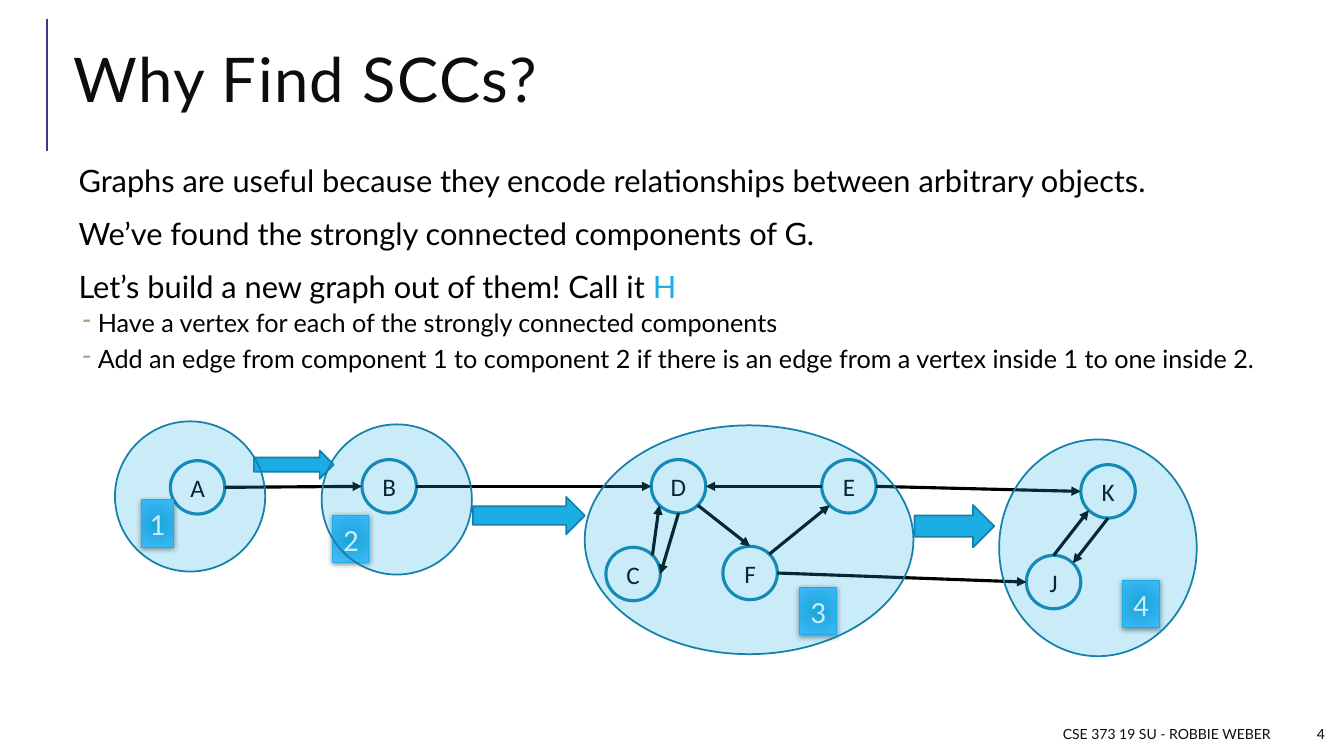
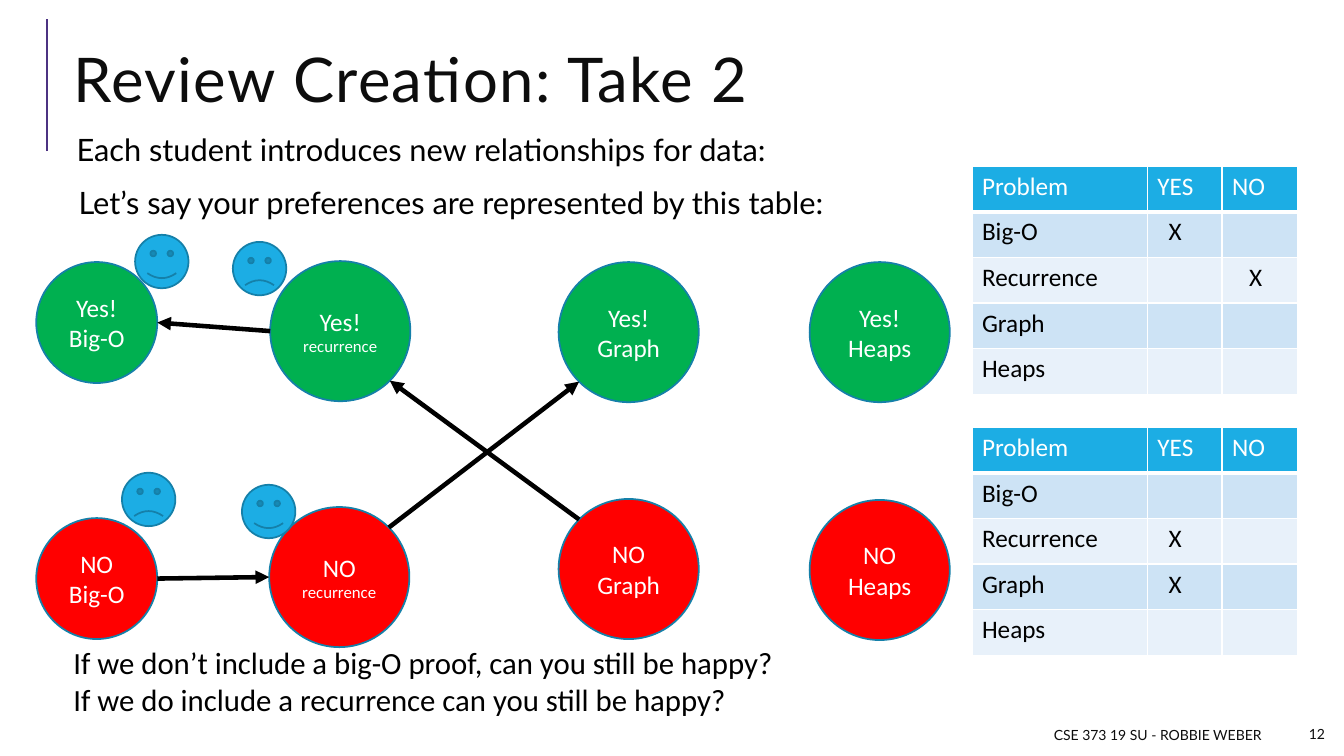
import math
from lxml import etree
from pptx import Presentation
from pptx import util as u
from pptx.dml.color import RGBColor
from pptx.enum import shapes, text
from pptx.oxml.ns import qn

PX = 9144
KIND = shapes.MSO_SHAPE
SIDE = text.PP_ALIGN
MID = text.MSO_ANCHOR.MIDDLE
INK = {
    "black": "000000", "title": "0D0D0D", "white": "FFFFFF", "bar": "4C3282",
    "blue": "1CADE4", "edge": "1580A9", "tan": "B6A479", "dark": "1AA1D4",
    "light": "48BFFF", "green": "00B050", "red": "FF0000",
    "odd": "CDE3F5", "even": "E8F1FA",
}


def px(*nums):
    return [u.Emu(round(n * PX)) for n in nums]


def rgb(name):
    return RGBColor.from_string(INK[name])


def node(base, tag, **attrs):
    item = etree.SubElement(base, qn(tag))
    for key, val in attrs.items():
        item.set(key, str(val))
    return item


def tint(base, name):
    return node(base, "a:srgbClr", val=INK[name])


def within(box, part):
    return (box[0] + part[0], box[1] + part[1], *part[2:])


def write(frame, words, size=18, face="Calibri", ink="black", join=False,
          align=None, lead=None, before=0, after=0, left=0, hang=0,
          mark=None, track=0):
    para = frame.paragraphs[-1]
    if para.runs and not join:
        para = frame.add_paragraph()
        para.space_before = u.Pt(before)
    if not join:
        para.alignment = align
        para.line_spacing = lead
        para.space_after = u.Pt(after)
        props = para._p.get_or_add_pPr()
        if left:
            props.set("marL", str(left * PX))
            props.set("indent", str(-hang * PX))
        if mark:
            tint(node(props, "a:buClr"), "tan")
            node(props, "a:buChar", char=mark)
    run = para.add_run()
    run.text = words
    font = run.font
    font.size, font.name, font.bold = u.Pt(size), face, False
    font.color.rgb = rgb(ink)
    if track:
        run._r.get_or_add_rPr().set("spc", str(track))


def pad(frame, side, top):
    frame.margin_left = frame.margin_right = side * PX
    frame.margin_top = frame.margin_bottom = top * PX


def area(slide, box, anchor=None, inset=10):
    frame = slide.shapes.add_textbox(*px(*box)).text_frame
    frame.word_wrap = True
    frame.vertical_anchor = anchor
    pad(frame, inset, 5)
    return frame


def place(slide, kind, box, fill="blue", line="edge", width=1.25, alpha=None):
    shape = slide.shapes.add_shape(kind, *px(*box))
    shape.shadow.inherit = False
    shape.fill.solid()
    shape.fill.fore_color.rgb = rgb(fill)
    if alpha:
        color = shape._element.spPr.find(".//" + qn("a:srgbClr"))
        node(color, "a:alpha", val=alpha * 1000)
    shape.line.color.rgb = rgb(line)
    shape.line.width = u.Pt(width)
    return shape


def label(shape, *lines, ink="black"):
    frame = shape.text_frame
    frame.word_wrap = False
    frame.vertical_anchor = MID
    pad(frame, 0, 0)
    for words, size in lines:
        write(frame, words, size=size, ink=ink, align=SIDE.CENTER)


def stroke(slide, start, end, ink="black", width=2.25, head=True):
    line = slide.shapes.add_connector(
        shapes.MSO_CONNECTOR.STRAIGHT, *px(*start, *end))
    line.line.color.rgb = rgb(ink)
    line.line.width = u.Pt(width)
    props = line._element.spPr
    if head:
        node(props.find(qn("a:ln")), "a:tailEnd", type="triangle")
    node(props, "a:effectLst")


def site(box, index):
    x, y, w, h = box
    turn = math.radians(90 + 45 * index)
    return (x + w / 2 + w / 2 * math.cos(turn),
            y + h / 2 - h / 2 * math.sin(turn))


def link(slide, spots, edges, width):
    for start, out, end, into in edges:
        stroke(slide, site(spots[start], out), site(spots[end], into),
               width=width)


def base(deck, title, page, foot):
    slide = deck.slides.add_slide(deck.slide_layouts[6])
    stroke(slide, (47, 150), (47, 19), ink="bar", width=1.5, head=False)
    write(area(slide, (63, 29, 1223, 111), MID), title, size=44, face="Lato",
          ink="title", lead=0.8, track=100)
    for box, words in ((foot, "CSE 373 19 SU - ROBBIE WEBER"),
                       ((1278, 713, 46, 30), page)):
        write(area(slide, box, MID), words, size=10, face="Lato",
              ink="title", align=SIDE.RIGHT)
    return slide


def body(slide, box, lines):
    frame = area(slide, box, inset=5)
    for words, left in lines:
        write(frame, words, size=22, face="Lato", lead=0.9, before=12,
              after=2, left=left)
    return frame


def tag(slide, box, words):
    shape = place(slide, KIND.RECTANGLE, box, line="blue", width=0.75)
    shape.fill.gradient()
    for stop, name in zip(shape.fill.gradient_stops, ("dark", "light")):
        stop.color.rgb = rgb(name)
    props = shape._element.spPr
    grad = props.find(qn("a:gradFill"))
    grad.remove(grad.find(qn("a:lin")))
    node(node(grad, "a:path", path="circle"), "a:fillToRect",
         l=100000, t=100000, r=100000, b=100000)
    glow = node(props.find(qn("a:effectLst")), "a:outerShdw", blurRad=50800,
                dist=12700, dir=5400000, rotWithShape=0)
    node(tint(glow, "black"), "a:alpha", val=50000)
    label(shape, (words, 22), ink="white")


def graph(slide, box):
    spots = {"A": (55, 39), "B": (245, 38), "C": (487, 125), "D": (532, 38),
             "E": (701, 38), "F": (603, 124), "J": (904, 133), "K": (958, 43)}
    spots = {name: within(box, (*spot, 54, 53))
             for name, spot in spots.items()}
    for name, spot in spots.items():
        label(place(slide, KIND.OVAL, spot, fill="white", width=2.25),
              (name, 18))
    link(slide, spots, (
        ("A", 6, "B", 2), ("B", 6, "D", 2), ("C", 7, "D", 3),
        ("D", 4, "C", 6), ("D", 5, "F", 0), ("F", 7, "E", 3),
        ("E", 2, "D", 6), ("E", 6, "K", 2), ("F", 6, "J", 2),
        ("K", 4, "J", 7), ("J", 0, "K", 3)), 2.25)
    for part in ((138, 29, 79, 28), (355, 75, 111, 37), (793, 83, 79, 42)):
        place(slide, KIND.RIGHT_ARROW, within(box, part))
    tags = ((26, 78, 32, 47), (216, 93, 36, 47),
            (679, 165, 37, 47), (999, 158, 37, 47))
    for count, part in enumerate(tags, 1):
        tag(slide, within(box, part), str(count))
    for part in ((0, 0, 149, 149), (205, 3, 149, 149),
                 (466, 4, 326, 227), (877, 18, 196, 215)):
        place(slide, KIND.OVAL, within(box, part), alpha=23)


def votes(slide, box):
    topics = (("Big-O", 18, 120), ("recurrence", 12, 139),
              ("Graph", 18, 139), ("Heaps", 18, 139))
    rows = (("Yes!", "green", ((0, 27), (232, 26), (518, 27), (767, 27))),
            ("NO", "red", ((0, 281), (231, 270), (518, 262), (767, 263))))
    spots = {}
    for vote, fill, points in rows:
        for (topic, size, wide), point in zip(topics, points):
            spot = within(box, (*point, wide, wide))
            spots[vote, topic] = spot
            label(place(slide, KIND.OVAL, spot, fill=fill),
                  (vote, 18), (topic, size), ink="white")
    first, second, third = (topic[0] for topic in topics[:3])
    link(slide, spots, (
        (("NO", first), 6, ("NO", second), 2),
        (("Yes!", second), 2, ("Yes!", first), 6),
        (("NO", third), 1, ("Yes!", second), 5),
        (("NO", second), 7, ("Yes!", third), 3)), 3.25)
    for x, y, sad in ((204, 248, False), (85, 236, True),
                      (195, 7, True), (98, 0, False)):
        face = place(slide, KIND.SMILEY_FACE, within(box, (x, y, 53, 53)))
        if sad:
            face.adjustments[0] = -0.05


def rule(cell, head):
    props = cell._tc.get_or_add_tcPr()
    for side in "LRTB":
        width = 3 if head and side == "B" else 1
        line = node(props, "a:ln" + side, w=width * 12700)
        tint(node(line, "a:solidFill"), "white")


def grid(slide, box, marks):
    names = ("Problem", "Big-O", "Recurrence", "Graph", "Heaps")
    table = slide.shapes.add_table(len(names), 3, *px(*box)).table
    table.horz_banding = False
    for col, wide in zip(table.columns, (174, 74, 75)):
        col.width = u.Emu(wide * PX)
    for r, name in enumerate(names):
        cells = (name, "YES", "NO") if r == 0 else (
            name, *("X" if (r, c) in marks else "" for c in (1, 2)))
        for c, words in enumerate(cells):
            cell = table.cell(r, c)
            rule(cell, r == 0)
            cell.fill.solid()
            cell.fill.fore_color.rgb = rgb(
                "blue" if r == 0 else "odd" if r % 2 else "even")
            if words:
                write(cell.text_frame, words,
                      ink="black" if r else "white",
                      left=(0, 11, 17)[c] if r else 0)


def scc(deck):
    slide = base(deck, "Why Find SCCs?", "4", (625, 713, 645, 30))
    frame = body(slide, (63, 160, 1223, 233), (
        ("Graphs are useful because they encode relationships between "
         "arbitrary objects.", 10),
        ("We’ve found the strongly connected components of G.", 10),
        ("Let’s build a new graph out of them! Call it ", 10)))
    write(frame, "H", size=22, face="Lato", ink="blue", join=True)
    for words in (
            "Have a vertex for each of the strongly connected components",
            "Add an edge from component 1 to component 2 if there is an edge "
            "from a vertex inside 1 to one inside 2."):
        write(frame, words, face="Lato", lead=0.9, before=2, after=4,
              left=29, hang=15, mark="-")
    graph(slide, (114, 418, 1073, 233))


def review(deck):
    slide = base(deck, "Review Creation: Take 2", "12", (616, 714, 645, 30))
    body(slide, (63, 129, 1223, 131), (
        ("Each student introduces new relationships for data:", 8),
        ("Let’s say your preferences are represented by this table:", 10)))
    frame = area(slide, (63, 634, 1137, 85))
    for words in ("If we don’t include a big-O proof, can you still be happy?",
                  "If we do include a recurrence can you still be happy?"):
        write(frame, words, size=22)
    votes(slide, (36, 233, 906, 409))
    grid(slide, (964, 165, 323, 226), {(1, 1), (2, 2)})
    grid(slide, (964, 424, 323, 226), {(2, 1), (3, 1)})


def main():
    deck = Presentation()
    deck.slide_width, deck.slide_height = px(1333, 750)
    scc(deck)
    review(deck)
    deck.save("out.pptx")


if __name__ == "__main__":
    main()
